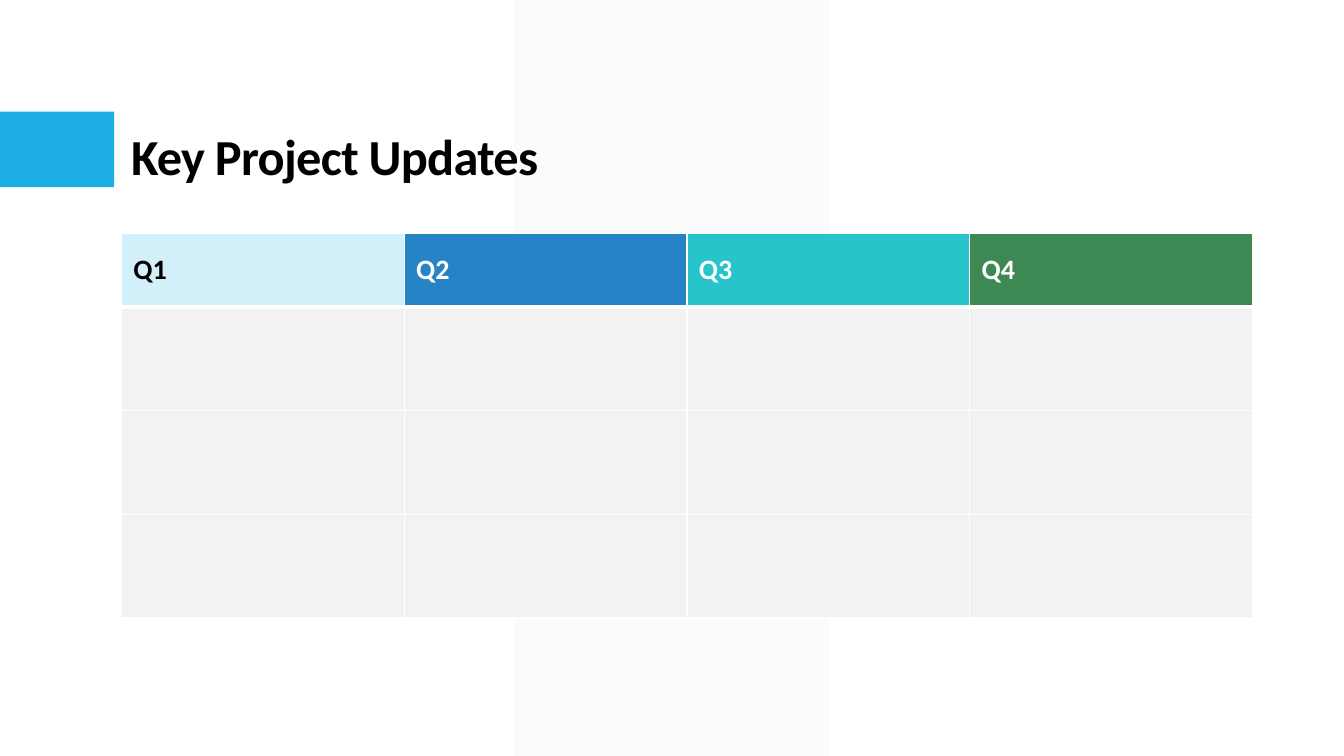
from dataclasses import dataclass

from lxml.etree import SubElement
from pptx import Presentation
from pptx.dml.color import RGBColor
from pptx.enum.shapes import MSO_SHAPE as Preset
from pptx.enum.text import MSO_ANCHOR as Anchor
from pptx.oxml import parse_xml
from pptx.oxml.ns import nsdecls, qn
from pptx.shapes.autoshape import Shape
from pptx.slide import Slide
from pptx.table import _Cell as Cell
from pptx.text.text import Font
from pptx.util import Pt


@dataclass(frozen=True)
class Theme:
    font: str = "Calibri"
    title_size: float = 36
    header_size: float = 20
    black: str = "000000"
    white: str = "FFFFFF"
    grey: str = "F2F2F2"
    accent: str = "1CADE4"
    pale_blue: str = "D2EFFA"
    blue: str = "2683C6"
    teal: str = "28C4CC"
    green: str = "3E8853"


@dataclass(frozen=True)
class Block:
    preset: Preset
    left: float
    top: float
    width: float
    height: float
    color: str
    opacity: int = 100


@dataclass(frozen=True)
class Quarter:
    label: str
    fill: str
    color: str


THEME = Theme()
PAGE_WIDTH, PAGE_HEIGHT = 960, 540
BLOCKS = [
    Block(Preset.PARALLELOGRAM, 367.5, 0, 224.5, PAGE_HEIGHT, THEME.grey, 30),
    Block(Preset.RECTANGLE, 0, 79.75, 81.5, 54, THEME.accent),
]
QUARTERS = [
    Quarter("Q1", THEME.pale_blue, THEME.black),
    Quarter("Q2", THEME.blue, THEME.white),
    Quarter("Q3", THEME.teal, THEME.white),
    Quarter("Q4", THEME.green, THEME.white),
]
TABLE_LEFT, TABLE_TOP = 86.75, 166.5
COLUMN_WIDTH, HEADER_HEIGHT, ROW_HEIGHT = 202, 53, 74
EMPTY_ROWS = 3
THIN, THICK = 1, 3


def style_font(font: Font, size: float, color: str) -> None:
    font.name = THEME.font
    font.size = Pt(size)
    font.bold = True
    font.color.rgb = RGBColor.from_string(color)


def add_block(page: Slide, block: Block) -> Shape:
    shape = page.shapes.add_shape(
        block.preset, Pt(block.left), Pt(block.top), Pt(block.width), Pt(block.height)
    )
    if block.preset == Preset.PARALLELOGRAM:
        shape.adjustments[0] = 0
    shape.shadow.inherit = False
    shape.line.fill.background()
    shape.fill.solid()
    shape.fill.fore_color.rgb = RGBColor.from_string(block.color)
    if block.opacity < 100:
        color = shape.element.spPr.find(f"{qn('a:solidFill')}/{qn('a:srgbClr')}")
        SubElement(color, qn("a:alpha"), val=str(block.opacity * 1000))
    return shape


def format_title(page: Slide, text: str) -> None:
    title = page.shapes.title
    title.left, title.top, title.width, title.height = Pt(86.4), Pt(22.5), Pt(792), Pt(114.5)
    frame = title.text_frame
    frame.text = text
    frame.word_wrap = True
    frame.vertical_anchor = Anchor.BOTTOM
    para = frame.paragraphs[0]
    para.alignment = 1
    para.line_spacing = 0.9
    span = para.runs[0]
    style_font(span.font, THEME.title_size, THEME.black)
    span.font._element.set("spc", "-50")
    # Bring the title in front of the background blocks.
    title.element.getparent().append(title.element)


def paint_cell(cell: Cell, fill: str, top: float, bottom: float) -> None:
    """Fill a cell and draw its white borders."""
    cell.fill.solid()
    cell.fill.fore_color.rgb = RGBColor.from_string(fill)
    properties = cell._tc.get_or_add_tcPr()
    sides = {"lnL": THIN, "lnR": THIN, "lnT": top, "lnB": bottom}
    for index, (side, weight) in enumerate(sides.items()):
        border = parse_xml(
            f'<a:{side} {nsdecls("a")} w="{Pt(weight)}"><a:solidFill>'
            f'<a:srgbClr val="{THEME.white}"/></a:solidFill></a:{side}>'
        )
        properties.insert(index, border)


def write_header(cell: Cell, quarter: Quarter) -> None:
    cell.text_frame.text = quarter.label
    cell.vertical_anchor = Anchor.MIDDLE
    cell.margin_left = cell.margin_right = Pt(8.5)
    cell.margin_top = cell.margin_bottom = Pt(4.25)
    span = cell.text_frame.paragraphs[0].runs[0]
    style_font(span.font, THEME.header_size, quarter.color)


def add_quarter_table(page: Slide) -> None:
    heights = [HEADER_HEIGHT] + [ROW_HEIGHT] * EMPTY_ROWS
    table = page.shapes.add_table(
        len(heights), len(QUARTERS), Pt(TABLE_LEFT), Pt(TABLE_TOP),
        Pt(COLUMN_WIDTH * len(QUARTERS)), Pt(sum(heights)),
    ).table
    table.horz_banding = False
    for row, height in zip(table.rows, heights):
        row.height = Pt(height)
    for column, quarter in enumerate(QUARTERS):
        table.columns[column].width = Pt(COLUMN_WIDTH)
        header = table.cell(0, column)
        paint_cell(header, quarter.fill, THIN, THICK)
        write_header(header, quarter)
        for row in range(1, len(heights)):
            paint_cell(table.cell(row, column), THEME.grey, THICK if row == 1 else THIN, THIN)


def main() -> None:
    deck = Presentation()
    deck.slide_width, deck.slide_height = Pt(PAGE_WIDTH), Pt(PAGE_HEIGHT)
    page = deck.slides.add_slide(deck.slide_layouts.get_by_name("Title Only"))
    for block in BLOCKS:
        add_block(page, block)
    format_title(page, "Key Project Updates")
    add_quarter_table(page)
    deck.save("out.pptx")


if __name__ == "__main__":
    main()
